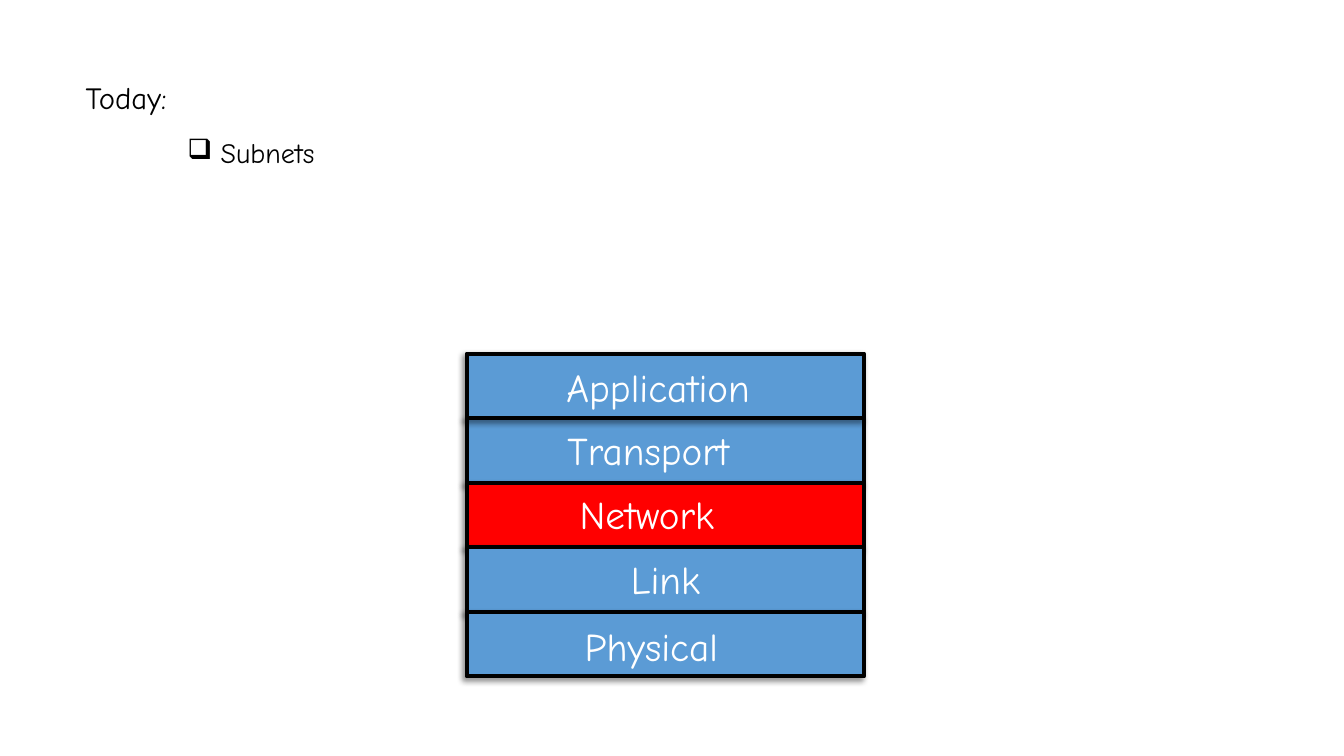
from dataclasses import dataclass

import pptx
import pptx.dml.color
import pptx.enum.shapes
import pptx.enum.text
import pptx.oxml
import pptx.oxml.ns
import pptx.util
import pptx.presentation
import pptx.shapes.autoshape
import pptx.slide
import pptx.text.text

PX = 9144  # EMU per px, 100 px to the inch
FONT = "Comic Neue"
BLACK = pptx.dml.color.RGBColor(0x00, 0x00, 0x00)
WHITE = pptx.dml.color.RGBColor(0xFF, 0xFF, 0xFF)
BLUE = pptx.dml.color.RGBColor(0x5B, 0x9B, 0xD5)
RED = pptx.dml.color.RGBColor(0xFF, 0x00, 0x00)
LEFT = pptx.enum.text.PP_ALIGN.LEFT
CENTER = pptx.enum.text.PP_ALIGN.CENTER

STACK_LEFT, STACK_TOP, STACK_WIDTH, STACK_HEIGHT = 463, 351, 394, 321
ROW_HEIGHT = 64


@dataclass(frozen=True)
class Layer:
    row: int
    name: str
    label_left: int
    label_top: int
    fill: pptx.dml.color.RGBColor = BLUE
    align: pptx.enum.text.PP_ALIGN = LEFT


# Transport comes first so that the shadow of Application falls on it.
LAYERS = [
    Layer(1, "Transport", 553, 418),
    Layer(0, "Application", 552, 356),
    Layer(2, "Network", 565, 482, fill=RED),
    Layer(3, "Link", 539, 546, align=CENTER),
    Layer(4, "Physical", 570, 612),
]


def px(length: int) -> pptx.util.Emu:
    return pptx.util.Emu(length * PX)


def add_span(para: pptx.text.text._Paragraph, text: str, size: int,
             color: pptx.dml.color.RGBColor) -> None:
    span = para.add_run()
    span.text = text
    span.font.name = FONT
    span.font.size = pptx.util.Pt(size)
    span.font.color.rgb = color


def add_text_box(page: pptx.slide.Slide, left: int, top: int, width: int,
                 height: int) -> pptx.text.text.TextFrame:
    box = page.shapes.add_textbox(px(left), px(top), px(width), px(height))
    box.text_frame.word_wrap = True
    return box.text_frame


def add_shadow(box: pptx.shapes.autoshape.Shape) -> None:
    """Cast a soft black shadow to the lower left."""
    box.shadow.inherit = False
    effects = box.fill._xPr.find(pptx.oxml.ns.qn("a:effectLst"))
    effects.append(pptx.oxml.parse_xml(
        f'<a:outerShdw {pptx.oxml.ns.nsdecls("a")} blurRad="50800" dist="38100" '
        'dir="8100000" algn="tr" rotWithShape="0"><a:srgbClr val="000000">'
        '<a:alpha val="40000"/></a:srgbClr></a:outerShdw>'))


def add_heading(page: pptx.slide.Slide) -> None:
    title = page.shapes.title
    title.left, title.top, title.width, title.height = px(75), px(77), px(1150), px(51)
    frame = title.text_frame
    frame.vertical_anchor = pptx.enum.text.MSO_ANCHOR.TOP
    frame.auto_size = pptx.enum.text.MSO_AUTO_SIZE.NONE
    para = frame.paragraphs[0]
    para.alignment = LEFT
    para.line_spacing = 0.9
    para.space_before = pptx.util.Pt(0)
    add_span(para, "Today:", 22, BLACK)


def add_agenda(page: pptx.slide.Slide) -> None:
    para = add_text_box(page, 176, 133, 1112, 214).paragraphs[0]
    para.line_spacing = 0.9
    properties = para._p.get_or_add_pPr()
    properties.set("marL", str(px(33)))
    properties.set("indent", str(px(-33)))
    properties.append(pptx.oxml.parse_xml(
        f'<a:buChar {pptx.oxml.ns.nsdecls("a")} char="❑"/>'))
    add_span(para, "Subnets", 20, BLACK)


def add_layer_bar(page: pptx.slide.Slide, layer: Layer) -> None:
    top = STACK_TOP + layer.row * STACK_HEIGHT // 5
    bar = page.shapes.add_shape(pptx.enum.shapes.MSO_SHAPE.RECTANGLE, px(STACK_LEFT),
                                px(top), px(STACK_WIDTH), px(ROW_HEIGHT))
    bar.fill.solid()
    bar.fill.fore_color.rgb = layer.fill
    bar.line.color.rgb = BLACK
    bar.line.width = pptx.util.Pt(3)
    add_shadow(bar)


def add_layer_label(page: pptx.slide.Slide, layer: Layer) -> None:
    frame = add_text_box(page, layer.label_left, layer.label_top, 242, 57)
    frame.auto_size = pptx.enum.text.MSO_AUTO_SIZE.SHAPE_TO_FIT_TEXT
    para = frame.paragraphs[0]
    para.alignment = layer.align
    add_span(para, layer.name, 28, WHITE)


def main() -> None:
    deck = pptx.Presentation()
    deck.slide_width, deck.slide_height = px(1333), px(750)
    page = deck.slides.add_slide(deck.slide_layouts[5])
    add_heading(page)
    add_agenda(page)
    for layer in LAYERS:
        add_layer_bar(page, layer)
    for layer in sorted(LAYERS, key=lambda layer: layer.row):
        add_layer_label(page, layer)
    deck.save("out.pptx")


if __name__ == "__main__":
    main()
